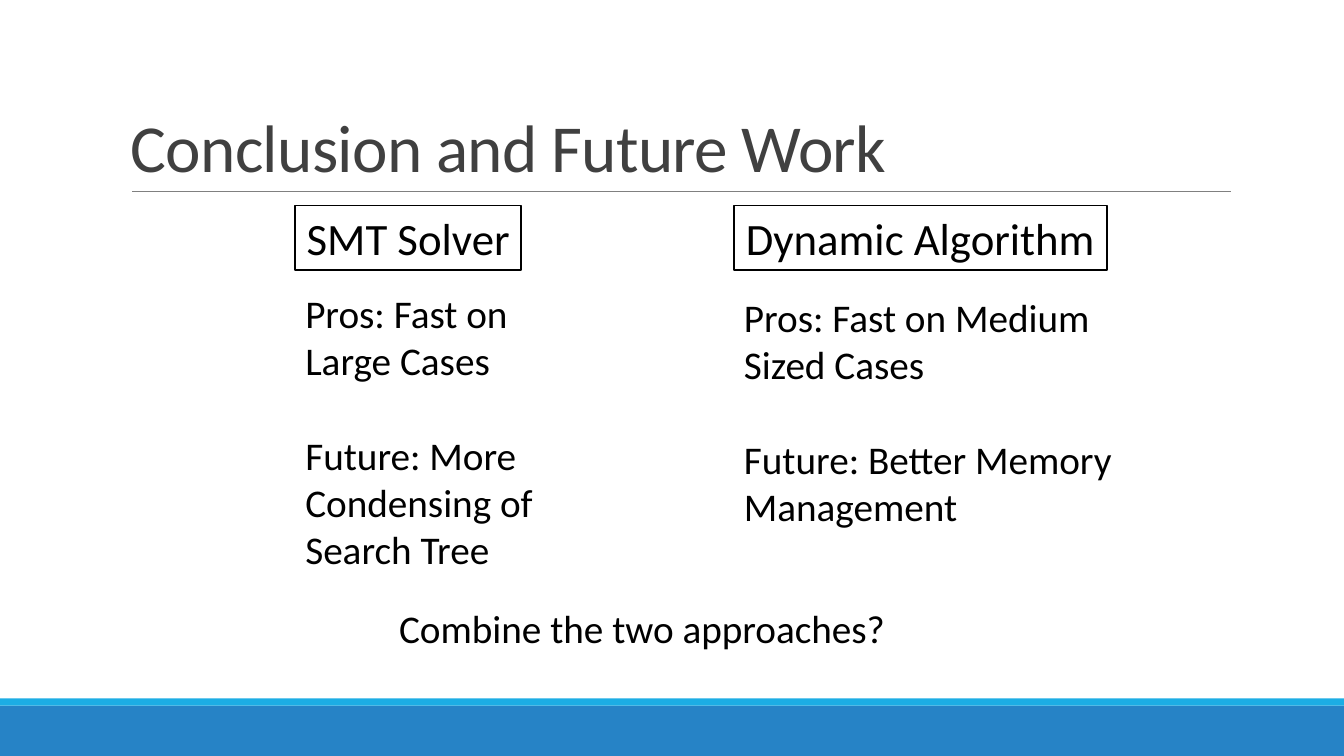
from lxml.etree import SubElement
from pptx import Presentation
from pptx.dml.color import RGBColor
from pptx.enum.shapes import MSO_CONNECTOR, MSO_SHAPE
from pptx.enum.text import MSO_ANCHOR, PP_ALIGN
from pptx.oxml.ns import qn
from pptx.util import Inches, Pt

WIDTH, HEIGHT = 13.33, 7.5
COLUMNS = [
    ("SMT Solver", (2.93, 2.04, 2.24, 0.64), (2.93, 2.82, 2.93, 2.93),
     ["Pros: Fast on Large Cases", "Future: More Condensing of Search Tree"]),
    ("Dynamic Algorithm", (7.28, 2.04, 3.7, 0.64), (7.28, 2.86, 3.88, 2.46),
     ["Pros: Fast on Medium Sized Cases", "Future: Better Memory Management"]),
]


def color(value):
    return RGBColor.from_string(value)


def add_box(slide, box, fill, line=None):
    shape = slide.shapes.add_shape(MSO_SHAPE.RECTANGLE, *map(Inches, box))
    shape.shadow.inherit = False
    shape.fill.solid()
    shape.fill.fore_color.rgb = color(fill)
    if line:
        shape.line.color.rgb = color(line)
        shape.line.width = Pt(1.25)
    else:
        shape.line.fill.background()
    return shape


def style_paragraph(paragraph, size, text_color="000000"):
    for run in paragraph.runs:
        run.font.name = "Calibri"
        run.font.size = Pt(size)
        run.font.color.rgb = color(text_color)


def add_text(slide, box, lines, size=28, text_color="000000"):
    text_frame = slide.shapes.add_textbox(*map(Inches, box)).text_frame
    text_frame.word_wrap = True
    text_frame.text = "\n".join(lines)
    for index, paragraph in enumerate(text_frame.paragraphs):
        style_paragraph(paragraph, size, text_color)
        if index:
            paragraph.space_before = Pt(34)
    return text_frame


def add_footer_bands(slide, top):
    add_box(slide, (0, top + 0.07, WIDTH, HEIGHT - top - 0.07), "2683C6")
    add_box(slide, (0, top, WIDTH, 0.07), "1CADE4")


def add_title(slide, box):
    left, top, width, height = box
    bottom = top + height
    rule = slide.shapes.add_connector(
        MSO_CONNECTOR.STRAIGHT, Inches(left + 0.11), Inches(bottom),
        Inches(left + width + 0.01), Inches(bottom))
    rule.line.color.rgb = color("808080")
    rule.line.width = Pt(0.5)
    SubElement(rule._element.spPr, qn("a:effectLst"))

    text_frame = add_text(slide, box, ["Conclusion and Future Work"], 48, "404040")
    text_frame.vertical_anchor = MSO_ANCHOR.BOTTOM
    paragraph = text_frame.paragraphs[0]
    paragraph.line_spacing = 0.85
    paragraph.runs[0]._r.get_or_add_rPr().set("spc", "-50")


def add_column(slide, heading, heading_box, body_box, points):
    text_frame = add_box(slide, heading_box, "FFFFFF", "000000").text_frame
    text_frame.word_wrap = False
    text_frame.vertical_anchor = MSO_ANCHOR.TOP
    text_frame.text = heading
    paragraph = text_frame.paragraphs[0]
    paragraph.alignment = PP_ALIGN.CENTER
    style_paragraph(paragraph, 32)
    add_text(slide, body_box, points)


def main():
    presentation = Presentation()
    presentation.slide_width = Inches(WIDTH)
    presentation.slide_height = Inches(HEIGHT)
    slide = presentation.slides.add_slide(presentation.slide_layouts[6])
    add_footer_bands(slide, 6.93)
    add_title(slide, (1.2, 0.31, 11, 1.59))
    for column in COLUMNS:
        add_column(slide, *column)
    add_text(slide, (3.86, 5.95, 7.74, 0.57), ["Combine the two approaches?"])
    presentation.save("out.pptx")


if __name__ == "__main__":
    main()
